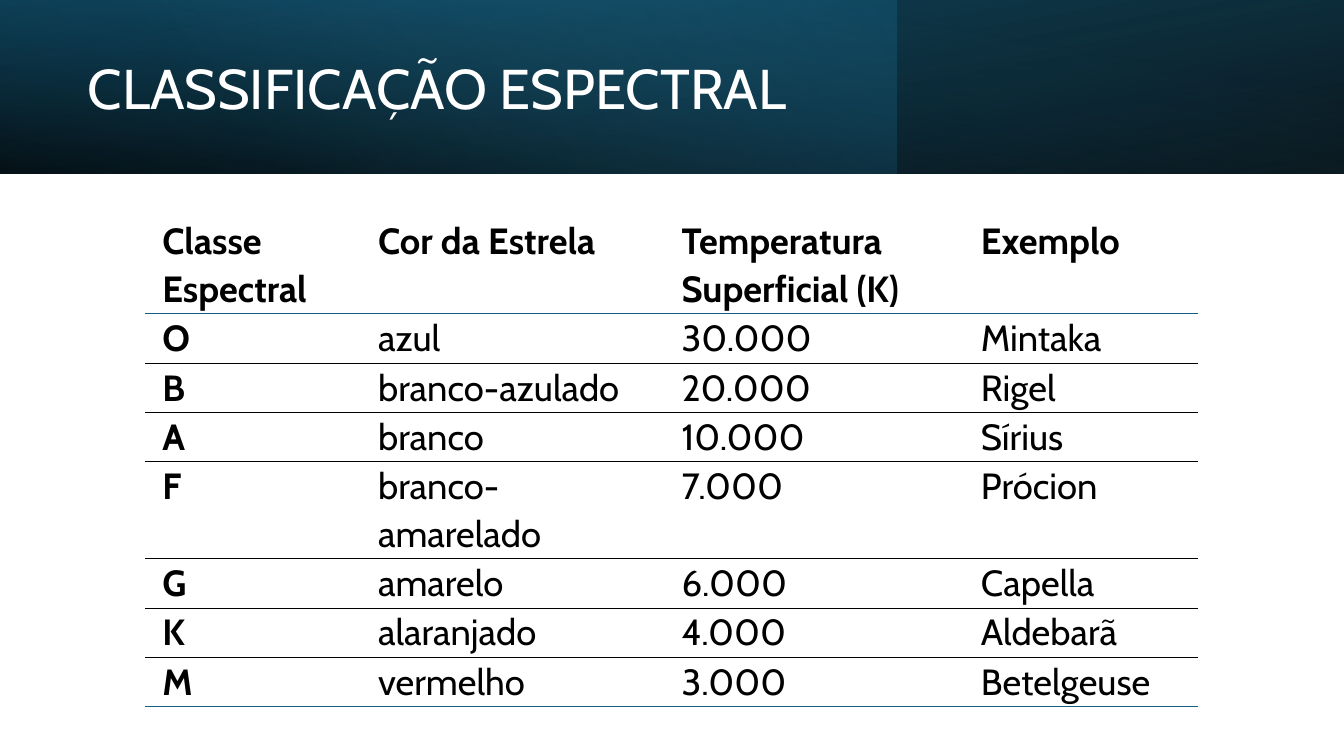
import pptx
import pptx.dml.color
import pptx.enum.shapes
import pptx.enum.text
import pptx.oxml
import pptx.oxml.ns
import pptx.util
from pptx.util import Inches

BLACK = pptx.dml.color.RGBColor(0x00, 0x00, 0x00)
WHITE = pptx.dml.color.RGBColor(0xFF, 0xFF, 0xFF)
TEAL = pptx.dml.color.RGBColor(0x15, 0x60, 0x82)
DARK_TEAL = pptx.dml.color.RGBColor(0x10, 0x48, 0x62)
SKY = pptx.dml.color.RGBColor(0x46, 0xB1, 0xE1)
FONT = "Cabin"
NO_GRID_STYLE = "{2D5ABB26-0587-4C30-8999-92F81FD0307C}"
NAMESPACE = pptx.oxml.ns.nsdecls("a")


def add_band(width, angle, stops, flip=False, rotation=0):
    """Add a header band; stops are (position %, colour, opacity %)."""
    band = slide.shapes.add_shape(
        pptx.enum.shapes.MSO_SHAPE.RECTANGLE, 0, 0, Inches(width), Inches(1.72))
    band.shadow.inherit = False
    band.line.fill.background()
    band.rotation = rotation
    properties = band.element.spPr
    if flip:
        properties.find(pptx.oxml.ns.qn("a:xfrm")).set("flipH", "1")
    stop_xml = "".join(
        f'<a:gs pos="{position * 1000}"><a:srgbClr val="{color}">'
        f'<a:alpha val="{opacity * 1000}"/></a:srgbClr></a:gs>'
        for position, color, opacity in stops)
    gradient = pptx.oxml.parse_xml(
        f'<a:gradFill {NAMESPACE} rotWithShape="1"><a:gsLst>{stop_xml}</a:gsLst>'
        f'<a:lin ang="{angle * 60000}" scaled="0"/></a:gradFill>')
    properties.find(pptx.oxml.ns.qn("a:prstGeom")).addnext(gradient)


def add_border(cell, side, color, points):
    cell_properties = cell._tc.get_or_add_tcPr()
    cell_properties.append(pptx.oxml.parse_xml(
        f'<a:{side} {NAMESPACE} w="{int(points * 12700)}"><a:solidFill>'
        f'<a:srgbClr val="{color}"/></a:solidFill></a:{side}>'))


presentation = pptx.Presentation()
presentation.slide_width = Inches(13.33)
presentation.slide_height = Inches(7.5)
slide = presentation.slides.add_slide(presentation.slide_layouts[5])

# Header
add_band(13.33, 100, [(0, BLACK, 96), (100, DARK_TEAL, 100)], flip=True, rotation=180)
add_band(8.89, 140, [(0, TEAL, 41), (74, SKY, 0)])
add_band(13.33, 260, [(0, BLACK, 63), (78, TEAL, 15)], flip=True)

title = slide.shapes.title
title.left, title.top = Inches(0.77), Inches(0.27)
title.width, title.height = Inches(7.72), Inches(1.27)
title.element.getparent().append(title.element)
title.text_frame.text = "CLASSIFICAÇÃO ESPECTRAL"
title.text_frame.auto_size = pptx.enum.text.MSO_AUTO_SIZE.NONE
title.text_frame.vertical_anchor = pptx.enum.text.MSO_ANCHOR.MIDDLE
heading = title.text_frame.paragraphs[0]
heading.alignment = pptx.enum.text.PP_ALIGN.LEFT
heading.line_spacing = 0.9
heading.font.name = FONT
heading.font.size = pptx.util.Pt(40)
heading.font.color.rgb = WHITE

# Spectral classes
star_classes = [
    ("Classe Espectral", "Cor da Estrela", "Temperatura Superficial (K)", "Exemplo"),
    ("O", "azul", "30.000", "Mintaka"),
    ("B", "branco-azulado", "20.000", "Rigel"),
    ("A", "branco", "10.000", "Sírius"),
    ("F", "branco-amarelado", "7.000", "Prócion"),
    ("G", "amarelo", "6.000", "Capella"),
    ("K", "alaranjado", "4.000", "Aldebarã"),
    ("M", "vermelho", "3.000", "Betelgeuse"),
]
column_widths = [2.14, 3.01, 2.97, 2.32]
two_line_rows = (0, 4)
# Rule below each row: colour and width in points
rules = [(TEAL, 1.5)] + [(BLACK, 0.25)] * 6 + [(TEAL, 1)]
cell_format = {
    "margin_left": Inches(0.17),
    "margin_right": Inches(0.17),
    "margin_top": 0,
    "margin_bottom": 0,
}

table_frame = slide.shapes.add_table(
    len(star_classes), len(column_widths),
    Inches(1.44), Inches(2.15), Inches(10.44), Inches(4.87))
star_table = table_frame.table
star_table.horz_banding = False
star_table._tbl.tblPr.find(pptx.oxml.ns.qn("a:tableStyleId")).text = NO_GRID_STYLE
for column, width in zip(star_table.columns, column_widths):
    column.width = Inches(width)

for row_index, star_class in enumerate(star_classes):
    star_table.rows[row_index].height = Inches(0.96 if row_index in two_line_rows else 0.49)
    for column_index, wording in enumerate(star_class):
        cell = star_table.cell(row_index, column_index)
        cell.text = wording
        for attribute, value in cell_format.items():
            setattr(cell, attribute, value)
        if row_index > 0:
            add_border(cell, "lnT", *rules[row_index - 1])
        add_border(cell, "lnB", *rules[row_index])
        cell.fill.background()
        paragraph = cell.text_frame.paragraphs[0]
        paragraph.line_spacing = 1.07
        paragraph.space_after = pptx.util.Pt(8)
        paragraph.font.name = FONT
        paragraph.font.size = pptx.util.Pt(26)
        paragraph.font.bold = row_index == 0 or column_index == 0
        paragraph.font.color.rgb = BLACK

presentation.save("out.pptx")
